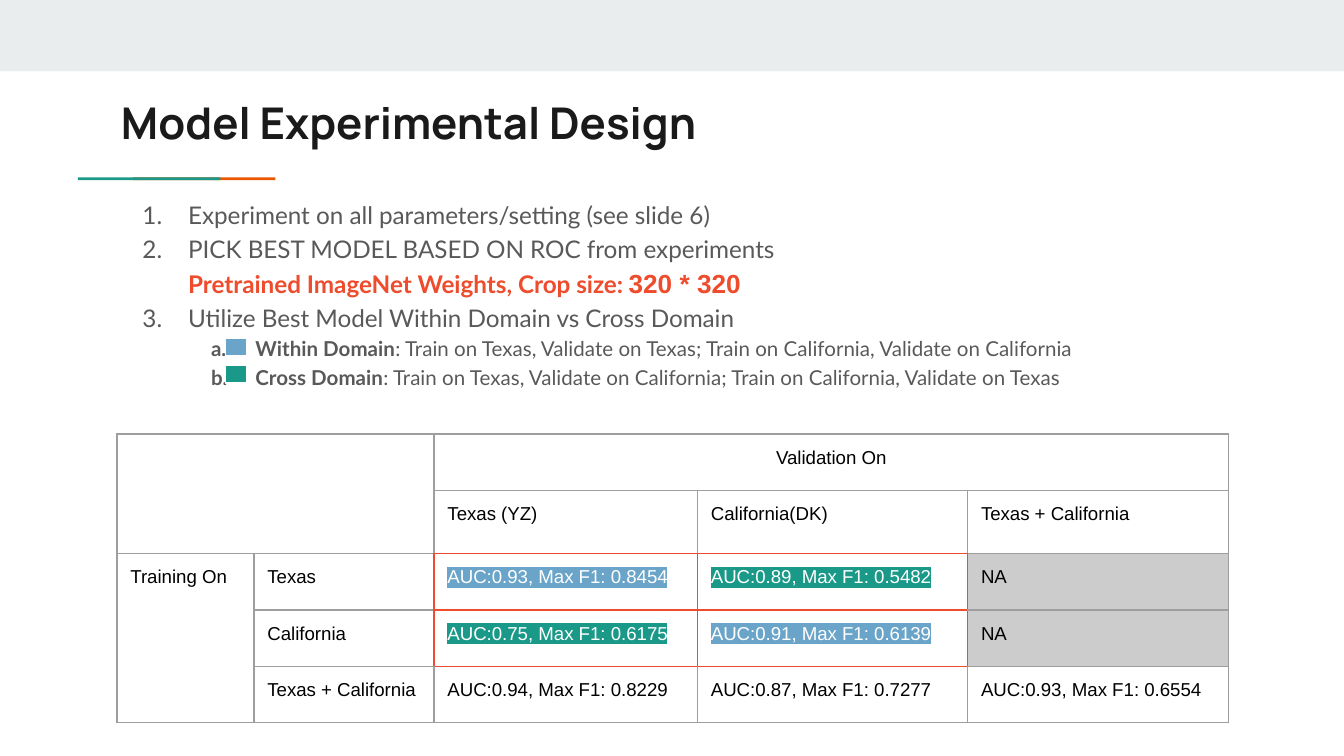
import dataclasses

import lxml.etree
import pptx
import pptx.dml.color
import pptx.enum.shapes
import pptx.enum.text
import pptx.oxml.ns
import pptx.util

Inches = pptx.util.Inches
Pt = pptx.util.Pt
RGB = pptx.dml.color.RGBColor.from_string
ALIGN = pptx.enum.text.PP_ALIGN
qn = pptx.oxml.ns.qn
PLAIN = "{2D5ABB26-0587-4C30-8999-92F81FD0307C}"  # table style without grid


@dataclasses.dataclass(frozen=True)
class Theme:
    band: str = "E9EDEE"
    orange: str = "EB5600"
    teal: str = "1A9988"
    blue: str = "6AA4C8"
    red: str = "EE4C2C"
    dark: str = "1A1A1A"
    text: str = "595959"
    black: str = "000000"
    white: str = "FFFFFF"
    rule: str = "9E9E9E"
    gray: str = "CCCCCC"
    head: str = "Manrope"
    body: str = "Lato"
    cell: str = "Arial"
    title: float = 23.4
    list: float = 13
    strong: float = 14
    sub: float = 11
    table: int = 10
    line: float = 0.75


def add(node, tag, **attrs):
    """Append an XML child and return it."""
    return lxml.etree.SubElement(node, qn(tag), attrs)


def write(par, text, size, font, color, bold=False, mark=None):
    """Add one formatted run, with an optional highlight."""
    run = par.add_run()
    run.text = text
    run.font.size = Pt(size)
    run.font.name = font
    run.font.bold = bold
    run.font.color.rgb = RGB(color)
    if mark:
        props = run.font._element
        glow = add(props, "a:highlight")
        add(glow, "a:srgbClr", val=mark)
        props.find(qn("a:solidFill")).addnext(glow)


class Deck:
    def __init__(self, theme):
        self.theme = theme
        self.file = pptx.Presentation()
        self.file.slide_width = Inches(10)
        self.file.slide_height = Inches(10) * 9 // 16
        self.slide = self.file.slides.add_slide(self.file.slide_layouts[1])

    def place(self, holder, left, top, width, height):
        """Move a placeholder and return its text frame."""
        holder.left, holder.top = Inches(left), Inches(top)
        holder.width, holder.height = Inches(width), Inches(height)
        frame = holder.text_frame
        frame.word_wrap = True
        frame.auto_size = pptx.enum.text.MSO_AUTO_SIZE.NONE
        frame.margin_left = frame.margin_right = Inches(0.1)
        frame.margin_top = frame.margin_bottom = Inches(0.1)
        return frame

    def title(self, text, *box):
        t = self.theme
        frame = self.place(self.slide.shapes.title, *box)
        frame.vertical_anchor = pptx.enum.text.MSO_ANCHOR.MIDDLE
        par = frame.paragraphs[0]
        par.alignment = ALIGN.LEFT
        write(par, text, t.title, t.head, t.dark, bold=True)

    def list(self, items, *box):
        """Items are (level, indent, hang, number style, start, runs)."""
        frame = self.place(self.slide.placeholders[1], *box)
        frame.vertical_anchor = pptx.enum.text.MSO_ANCHOR.TOP
        for i, (level, indent, hang, style, start, runs) in enumerate(items):
            par = frame.add_paragraph() if i else frame.paragraphs[0]
            par.level = level
            par.line_spacing = 1.15
            par.space_before = par.space_after = Pt(0)
            props = par._p.get_or_add_pPr()
            props.set("marL", str(Inches(indent)))
            props.set("indent", str(Inches(-hang)))
            if style:
                add(add(props, "a:buClr"), "a:srgbClr", val=self.theme.text)
                add(props, "a:buFont", typeface=self.theme.body)
                num = add(props, "a:buAutoNum", type=style)
                if start > 1:
                    num.set("startAt", str(start))
            else:
                add(props, "a:buNone")
            for text, fmt in runs:
                write(par, text, **fmt)

    def rect(self, left, top, width, height, fill, line=None):
        box = self.slide.shapes.add_shape(
            pptx.enum.shapes.MSO_SHAPE.RECTANGLE,
            Inches(left), Inches(top), Inches(width), Inches(height))
        box.shadow.inherit = False
        box.fill.solid()
        box.fill.fore_color.rgb = RGB(fill)
        if line:
            box.line.color.rgb = RGB(line)
            box.line.width = Pt(self.theme.line)
        else:
            box.line.fill.background()

    def edge(self, cell, colors):
        """Draw the left, right, top and bottom borders of a cell."""
        props = cell._tc.get_or_add_tcPr()
        for i, (side, color) in enumerate(zip("LRTB", colors)):
            line = add(props, "a:ln" + side, w=str(Pt(self.theme.line)),
                       cap="flat", cmpd="sng")
            add(add(line, "a:solidFill"), "a:srgbClr", val=color)
            add(line, "a:prstDash", val="solid")
            props.insert(i, line)

    def table(self, left, top, cols, rows, data, spans, hot, marks):
        t = self.theme
        grid = self.slide.shapes.add_table(
            len(rows), len(cols), Inches(left), Inches(top),
            Inches(sum(cols)), Inches(sum(rows))).table
        grid.first_row = grid.horz_banding = False
        grid._tbl.tblPr.find(qn("a:tableStyleId")).text = PLAIN
        for col, width in zip(grid.columns, cols):
            col.width = Inches(width)
        for row, height in zip(grid.rows, rows):
            row.height = Inches(height)
        for r, line in enumerate(data):
            for c, text in enumerate(line):
                cell = grid.cell(r, c)
                cell.margin_left = cell.margin_right = Inches(0.1)
                cell.margin_top = cell.margin_bottom = Inches(0.1)
                par = cell.text_frame.paragraphs[0]
                mark = marks.get((r, c))
                if text:
                    write(par, text, t.table, t.cell,
                          t.white if mark else t.black, mark=mark)
                else:
                    add(par._p, "a:endParaRPr", sz=str(t.table * 100))
                if text == "NA":
                    cell.fill.solid()
                    cell.fill.fore_color.rgb = RGB(t.gray)
                else:
                    cell.fill.background()
                # An edge is red when a cell on either side of it is hot
                near = [(r, c - 1), (r, c + 1), (r - 1, c), (r + 1, c)]
                self.edge(cell, [t.red if {(r, c), spot} & hot else t.rule
                                 for spot in near])
        for first, last in spans:
            grid.cell(*first).merge(grid.cell(*last))
        grid.cell(0, 2).text_frame.paragraphs[0].alignment = ALIGN.CENTER


def main():
    t = Theme()
    deck = Deck(t)

    # Top band and accent line
    deck.rect(0, 0, 10, 0.53, t.band)
    deck.rect(0.99, 1.32, 1.06, 0.02, t.orange)
    deck.rect(0.58, 1.32, 1.06, 0.02, t.teal)

    # Title
    deck.title("Model Experimental Design", 0.8, 0.61, 8.41, 0.59)

    # Numbered list
    main_fmt = dict(size=t.list, font=t.body, color=t.text)
    sub_fmt = dict(main_fmt, size=t.sub)
    red_fmt = dict(main_fmt, color=t.red, bold=True)

    def step(num, text):
        return 0, 0.5, 0.34, "arabicPeriod", num, [(text, main_fmt)]

    def point(name, text):
        runs = [(name, dict(sub_fmt, bold=True)), (text, sub_fmt)]
        return 1, 1, 0.33, "alphaLcPeriod", 1, runs

    deck.list([
        step(1, "Experiment on all parameters/setting (see slide 6)"),
        step(1, "PICK BEST MODEL BASED ON ROC from experiments"),
        (0, 0.5, 0, None, 1, [
            ("Pretrained ImageNet Weights, Crop size: ", red_fmt),
            ("320 * 320", dict(red_fmt, size=t.strong, font=t.cell))]),
        step(3, "Utilize Best Model Within Domain vs Cross Domain"),
        point("Within Domain", ": Train on Texas, Validate on Texas; "
              "Train on California, Validate on California"),
        point("Cross Domain", ": Train on Texas, Validate on California; "
              "Train on California, Validate on Texas"),
    ], 0.8, 1.36, 8.41, 2.47)

    # Results table
    both = "Texas + California"
    data = [
        ["", "", "Validation On", "", ""],
        ["", "", "Texas (YZ)", "California(DK)", both],
        ["Training On", "Texas", "AUC:0.93, Max F1: 0.8454",
         "AUC:0.89, Max F1: 0.5482", "NA"],
        ["", "California", "AUC:0.75, Max F1: 0.6175",
         "AUC:0.91, Max F1: 0.6139", "NA"],
        ["", both, "AUC:0.94, Max F1: 0.8229",
         "AUC:0.87, Max F1: 0.7277", "AUC:0.93, Max F1: 0.6554"],
    ]
    marks = {(r, c): t.blue if r == c else t.teal
             for r in (2, 3) for c in (2, 3)}
    spans = [((0, 0), (1, 1)), ((0, 2), (0, 4)), ((2, 0), (4, 0))]
    deck.table(0.87, 3.23, [1.02, 1.34, 1.96, 2.01, 1.94],
               [0.42, 0.47, 0.42, 0.42, 0.42], data, spans, set(marks), marks)

    # Colour key beside the two domains
    for i, color in enumerate([t.blue, t.teal]):
        deck.rect(1.68, 2.52 + 0.2 * i, 0.16, 0.13, color, line=t.white)

    deck.file.save("out.pptx")


if __name__ == "__main__":
    main()
